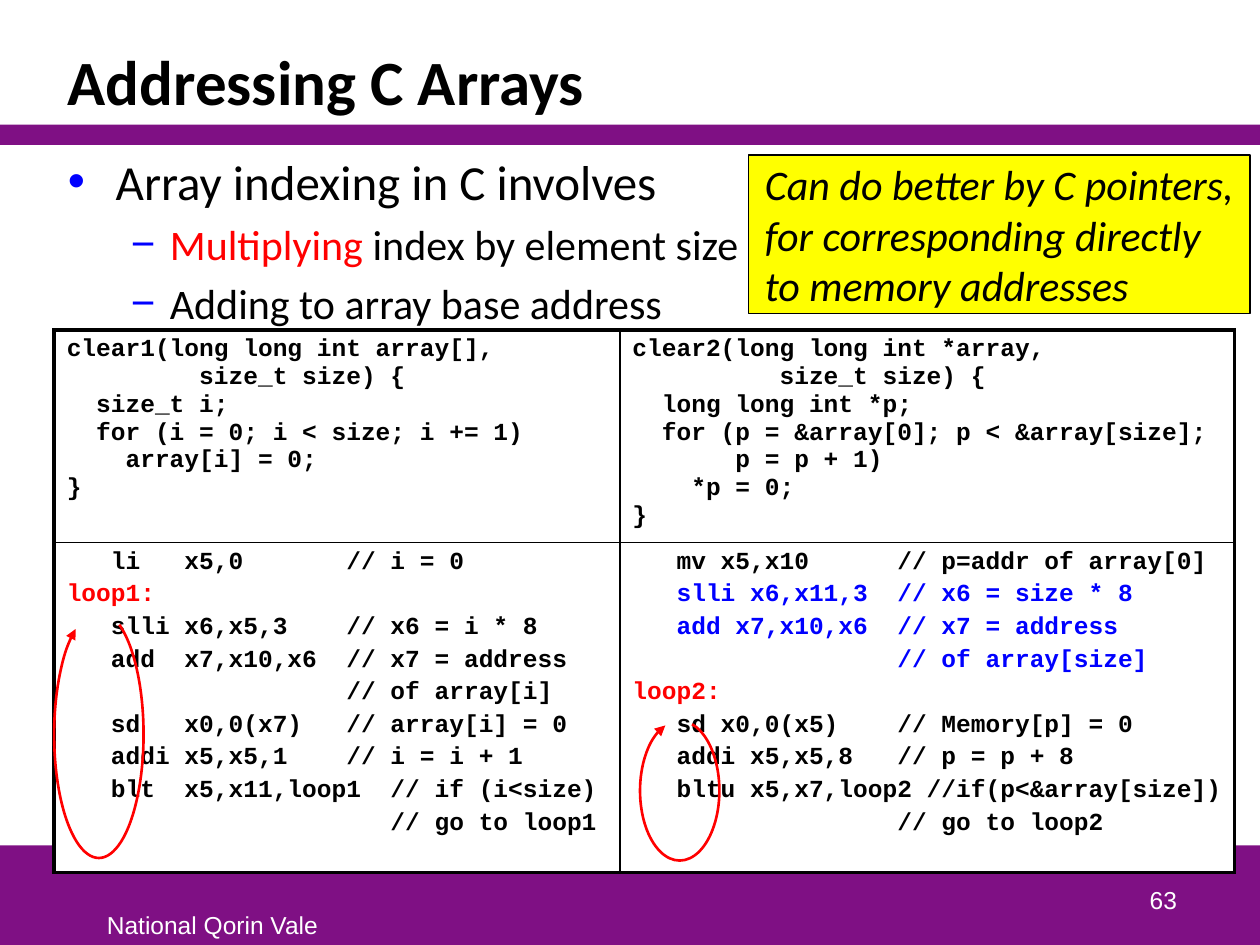
from lxml.etree import SubElement
from pptx import Presentation
from pptx.dml.color import RGBColor
from pptx.enum.shapes import MSO_SHAPE
from pptx.enum.text import MSO_ANCHOR, PP_ALIGN
from pptx.oxml.ns import qn
from pptx.util import Inches, Pt

PURPLE, BLACK, WHITE = "7F1084", "000000", "FFFFFF"
RED, BLUE, YELLOW = "FF0000", "0000FF", "FFFF00"

CODE = [
    ["""clear1(long long int array[],
         size_t size) {
  size_t i;
  for (i = 0; i < size; i += 1)
    array[i] = 0;
}""",
     """clear2(long long int *array,
          size_t size) {
  long long int *p;
  for (p = &array[0]; p < &array[size];
       p = p + 1)
    *p = 0;
}"""],
    ["""   li   x5,0       // i = 0
loop1:
   slli x6,x5,3    // x6 = i * 8
   add  x7,x10,x6  // x7 = address
                   // of array[i]
   sd   x0,0(x7)   // array[i] = 0
   addi x5,x5,1    // i = i + 1
   blt  x5,x11,loop1  // if (i<size)
                      // go to loop1""",
     """   mv x5,x10      // p=addr of array[0]
   slli x6,x11,3  // x6 = size * 8
   add x7,x10,x6  // x7 = address
                  // of array[size]
loop2:
   sd x0,0(x5)    // Memory[p] = 0
   addi x5,x5,8   // p = p + 8
   bltu x5,x7,loop2 //if(p<&array[size])
                  // go to loop2"""],
]
# Line colours by (row, column), then line number
TINTS = {(1, 0): {1: RED}, (1, 1): {1: BLUE, 2: BLUE, 3: BLUE, 4: RED}}


def color(code):
    return RGBColor.from_string(code)


def style(font, size, tint=BLACK, name="Calibri", bold=False, italic=False):
    font.size, font.name = Pt(size), name
    font.bold, font.italic = bold, italic
    font.color.rgb = color(tint)


def add_box(slide, kind, box, fill=None, line=None, width=1):
    shape = slide.shapes.add_shape(kind, *map(Inches, box))
    shape.shadow.inherit = False
    if fill:
        shape.fill.solid()
        shape.fill.fore_color.rgb = color(fill)
    else:
        shape.fill.background()
    if line:
        shape.line.color.rgb = color(line)
        shape.line.width = Pt(width)
    else:
        shape.line.fill.background()
    return shape


def add_text(slide, box, text, wrap=True, anchor=MSO_ANCHOR.TOP, **look):
    frame = slide.shapes.add_textbox(*map(Inches, box)).text_frame
    frame.word_wrap, frame.vertical_anchor = wrap, anchor
    frame.text = text
    style(frame.paragraphs[0].runs[0].font, **look)
    return frame.paragraphs[0]


def set_bullet(para, char, left, hang):
    props = para._p.get_or_add_pPr()
    props.set("marL", str(Inches(left)))
    props.set("indent", str(-Inches(hang)))
    tint = SubElement(props, qn("a:buClr"))
    SubElement(tint, qn("a:srgbClr"), val=BLUE)
    SubElement(props, qn("a:buFont"), typeface="Arial")
    SubElement(props, qn("a:buChar"), char=char)


def add_list(slide, box):
    frame = slide.shapes.add_textbox(*map(Inches, box)).text_frame
    frame.word_wrap = True
    items = [
        (0, [("Array indexing in C involves", BLACK)]),
        (1, [("Multiplying", RED), (" index by element size", BLACK)]),
        (1, [("Adding to array base address", BLACK)]),
    ]
    looks = [("•", 0.38, 0.38, 28), ("−", 0.81, 0.31, 24)]
    for i, (level, parts) in enumerate(items):
        para = frame.add_paragraph() if i else frame.paragraphs[0]
        char, left, hang, size = looks[level]
        para.level = level
        set_bullet(para, char, left, hang)
        if i:
            para.space_before = Pt(5)
        for text, tint in parts:
            run = para.add_run()
            run.text = text
            style(run.font, size, tint)


def set_edges(cell, widths):
    props = cell._tc.get_or_add_tcPr()
    for i, (side, width) in enumerate(zip("LRTB", widths)):
        edge = props.makeelement(qn(f"a:ln{side}"), {"w": str(Pt(width))})
        fill = SubElement(edge, qn("a:solidFill"))
        SubElement(fill, qn("a:srgbClr"), val=BLACK)
        props.insert(i, edge)


def add_code(slide, box, cols, rows):
    table = slide.shapes.add_table(2, 2, *map(Inches, box)).table
    table.first_row = table.horz_banding = False
    thick, thin = 2.25, 1
    for i in range(2):
        table.columns[i].width = Inches(cols[i])
        table.rows[i].height = Inches(rows[i])
    for r, texts in enumerate(CODE):
        for c, text in enumerate(texts):
            cell = table.cell(r, c)
            cell.fill.solid()
            cell.fill.fore_color.rgb = color(WHITE)
            # Tight margins keep the longest line whole and the rows short
            cell.margin_right, cell.margin_bottom = Inches(0.03), 0
            set_edges(cell, [thin if c else thick, thick if c else thin,
                             thin if r else thick, thick if r else thin])
            cell.text_frame.text = text
            tints = TINTS.get((r, c), {})
            for n, para in enumerate(cell.text_frame.paragraphs):
                if r and n:
                    para.space_before = Pt(2.8)
                style(para.runs[0].font, 14, tints.get(n, BLACK),
                      "Courier New", bold=True)
                SubElement(para._p, qn("a:endParaRPr"), sz="1400")


def add_loop(slide, box):
    arc = add_box(slide, MSO_SHAPE.ARC, box, line=RED, width=1.5)
    # Clockwise from just right of the top to just left of it
    arc.adjustments[0], arc.adjustments[1] = 168.33, 154.55
    SubElement(arc.line._get_or_add_ln(), qn("a:tailEnd"), type="triangle")


def main():
    deck = Presentation()
    deck.slide_width, deck.slide_height = Inches(10), Inches(7.5)
    slide = deck.slides.add_slide(deck.slide_layouts[6])

    # Bands and footer
    add_box(slide, MSO_SHAPE.RECTANGLE, (0, 6.71, 10, 0.79), PURPLE)
    add_box(slide, MSO_SHAPE.RECTANGLE, (0, 0.99, 10, 0.16), PURPLE)
    small = dict(size=14, tint=WHITE, name="Arial")
    add_text(slide, (0.75, 7.17, 2.76, 0.33), "National Qorin Vale University",
             wrap=False, **small)
    page = add_text(slide, (7.36, 6.81, 2.08, 0.5), "63",
                    anchor=MSO_ANCHOR.BOTTOM, **small)
    page.alignment = PP_ALIGN.RIGHT

    # Title and list
    title = add_text(slide, (0.44, 0.25, 9.12, 0.74), "Addressing C Arrays",
                     anchor=MSO_ANCHOR.BOTTOM, size=36, bold=True)
    title.line_spacing = 0.85
    add_list(slide, (0.44, 1.15, 9.12, 5.53))

    # Code table
    add_code(slide, (0.43, 2.62, 9.37, 4.26), (4.49, 4.88), (1.64, 2.62))

    # Callout
    note = add_box(slide, MSO_SHAPE.RECTANGLE, (5.94, 1.23, 3.98, 1.26),
                   YELLOW, BLACK, 0.75)
    frame = note.text_frame
    frame.word_wrap, frame.vertical_anchor = True, MSO_ANCHOR.MIDDLE
    frame.margin_left, frame.margin_right = Inches(0.13), Inches(0.07)
    frame.text = ("Can do better by C pointers, for corresponding directly "
                  "to memory addresses")
    frame.paragraphs[0].alignment = PP_ALIGN.LEFT
    style(frame.paragraphs[0].runs[0].font, 24, italic=True)

    # Loop arrows
    add_loop(slide, (0.43, 4.85, 0.71, 1.96))
    add_loop(slide, (5.08, 5.72, 0.63, 1.11))

    deck.save("out.pptx")


if __name__ == "__main__":
    main()
